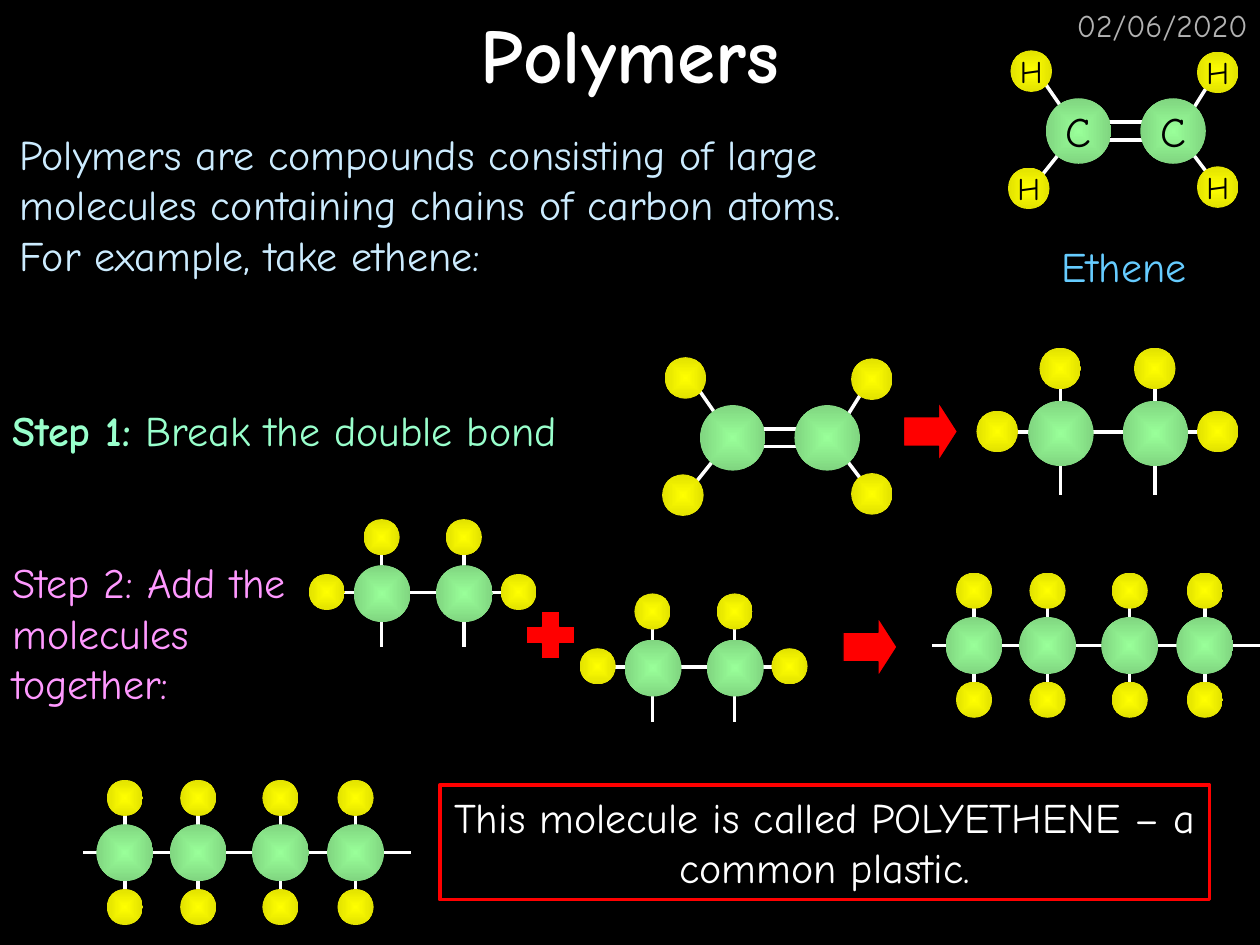
from dataclasses import dataclass

import pptx
import pptx.dml.color
import pptx.enum.shapes
import pptx.enum.text
import pptx.oxml
import pptx.oxml.ns
import pptx.util

RGB = pptx.dml.color.RGBColor
SHAPE = pptx.enum.shapes.MSO_SHAPE
ALIGN = pptx.enum.text.PP_ALIGN
ANCHOR = pptx.enum.text.MSO_ANCHOR
AUTO_SIZE = pptx.enum.text.MSO_AUTO_SIZE

BLACK = RGB(0x00, 0x00, 0x00)
WHITE = RGB(0xFF, 0xFF, 0xFF)
GREY = RGB(0xB2, 0xB2, 0xB2)
RED = RGB(0xFF, 0x00, 0x00)
SKY = RGB(0x66, 0xCC, 0xFF)
PALE_BLUE = RGB(0xCC, 0xEC, 0xFF)
MINT = RGB(0x99, 0xFF, 0xCC)
PINK = RGB(0xFF, 0x99, 0xFF)
GREEN = RGB(0x99, 0xFF, 0x99)
YELLOW = RGB(0xFF, 0xFF, 0x00)

FONT = "Comic Neue"

# The slide is a grid of 100 columns by 75 rows of square cells
COLS, ROWS = 100, 75
CELL = pptx.util.Inches(0.1)

Point = tuple[float, float]
Box = tuple[float, float, float, float]


def grid(*cells: float) -> list[int]:
    return [round(c * CELL) for c in cells]


@dataclass(frozen=True)
class Atom:
    symbol: str
    color: RGB
    size: float
    rim_shade: int
    font_size: int


@dataclass(frozen=True)
class Molecule:
    """Bond ends and atom centres in cells from the molecule's corner."""
    bonds: list[Box]
    carbons: list[Point]
    hydrogens: list[Point]


@dataclass(frozen=True)
class Label:
    box: Box
    runs: list[tuple[str, bool]]
    color: RGB
    size: int = 24
    align: ALIGN = ALIGN.LEFT


CARBON = Atom("C", GREEN, 5.2, 66667, 24)
HYDROGEN = Atom("H", YELLOW, 3.3, 76471, 18)
SMALL = 0.87

ETHENE = Molecule(
    bonds=[(6.8, 7.1, 13.9, 7.1), (16.6, 1.6, 14.1, 5.6), (1.9, 10.9, 5.1, 6.9),
           (13.6, 6.8, 16.4, 10.5), (2.3, 1.7, 5.9, 6.9), (4.3, 5.7, 14.3, 5.7)],
    carbons=[(5.6, 6.4), (13.1, 6.4)],
    hydrogens=[(16.65, 10.85), (1.65, 10.95), (16.65, 1.75), (1.85, 1.65)],
)
OPENED = Molecule(
    bonds=[(14.15, 1.7, 14.15, 11.7), (6.65, 2.5, 6.65, 11.7), (1.6, 6.7, 18.3, 6.7)],
    carbons=[(6.7, 6.8), (14.2, 6.8)],
    hydrogens=[(1.65, 6.65), (14.15, 1.65), (19.15, 6.65), (6.65, 1.65)],
)
# Chain measured before the small scale is applied
CHAIN_COLS = [3.8, 10.5, 18, 24.85]
CHAIN_TOP, CHAIN_MID, CHAIN_BOTTOM = 1.7, 6.7, 11.65
CHAIN = Molecule(
    bonds=[(x, CHAIN_TOP, x, CHAIN_BOTTOM) for x in CHAIN_COLS]
    + [(0, CHAIN_MID, 29.9, CHAIN_MID)],
    carbons=[(x, CHAIN_MID) for x in CHAIN_COLS],
    hydrogens=[(x, y) for y in (CHAIN_TOP, CHAIN_BOTTOM) for x in CHAIN_COLS],
)

# Molecule, left, top, scale, lettered
MOLECULES = [
    (ETHENE, 80, 4, 1, True),
    (OPENED, 77.5, 27.6, 1, False),
    (ETHENE, 52.55, 28.35, 1, False),
    (CHAIN, 74, 45.4, SMALL, False),
    (OPENED, 24.5, 41.2, SMALL, False),
    (OPENED, 46, 47.1, SMALL, False),
    (CHAIN, 6.6, 61.85, SMALL, False),
]
ARROW_ADJ = [0.5, 0.35]
SIGNS = [
    (SHAPE.RIGHT_ARROW, (71.7, 31.9, 4.3, 4.7), ARROW_ADJ),
    (SHAPE.RIGHT_ARROW, (66.9, 49, 4.3, 4.7), ARROW_ADJ),
    (SHAPE.CROSS, (41.8, 48.5, 3.8, 3.8), [0.31]),
]
LABELS = [
    Label((79.2, 0, 20.8, 5), [("02/06/2020", False)], GREY, 18, ALIGN.RIGHT),
    Label((81.3, 18.6, 15.8, 5), [("Ethene", False)], SKY, align=ALIGN.CENTER),
    Label((0.6, 9.7, 71.9, 13.1),
          [("Polymers are compounds consisting of large molecules containing "
            "chains of carbon atoms. For example, take ethene:", False)], PALE_BLUE),
    Label((0, 31.6, 78.6, 5),
          [("Step 1: ", True), ("Break the double bond", False)], MINT),
    Label((0, 43.7, 26.5, 13), [("Step 2: Add the molecules together:", False)], PINK),
]
CONCLUSION = Label(
    (34.9, 62.3, 61.1, 9.1),
    [("This molecule is called POLYETHENE – a common plastic.", False)],
    WHITE, align=ALIGN.CENTER)


def write(sp, label: Label) -> None:
    tf = sp.text_frame
    tf.word_wrap = True
    tf.auto_size = AUTO_SIZE.SHAPE_TO_FIT_TEXT
    tf.vertical_anchor = ANCHOR.TOP
    p = tf.paragraphs[0]
    p.alignment = label.align
    p.font.name, p.font.size = FONT, pptx.util.Pt(label.size)
    p.font.color.rgb = label.color
    for text, bold in label.runs:
        r = p.add_run()
        r.text = text
        if bold:
            r.font.bold = True


def add_bond(shapes, x1: float, y1: float, x2: float, y2: float) -> None:
    line = shapes.add_connector(
        pptx.enum.shapes.MSO_CONNECTOR.STRAIGHT, *grid(x1, y1, x2, y2))
    line.line.color.rgb = WHITE
    line.line.width = pptx.util.Pt(2)
    line._element.spPr.append(pptx.oxml.parse_xml(
        f"<a:effectLst {pptx.oxml.ns.nsdecls('a')}/>"))


def add_atom(shapes, atom: Atom, x: float, y: float, scale: float, lettered: bool) -> None:
    d = atom.size * scale
    sp = shapes.add_shape(SHAPE.OVAL, *grid(x - d / 2, y - d / 2, d, d))
    sp.shadow.inherit = False
    sp.line.fill.background()
    # Radial fill, darker towards the rim
    geometry = sp._element.spPr.find(pptx.oxml.ns.qn("a:prstGeom"))
    geometry.addnext(pptx.oxml.parse_xml(
        f"<a:gradFill {pptx.oxml.ns.nsdecls('a')} rotWithShape='1'><a:gsLst>"
        f"<a:gs pos='0'><a:srgbClr val='{atom.color}'/></a:gs>"
        f"<a:gs pos='100000'><a:srgbClr val='{atom.color}'>"
        f"<a:shade val='{atom.rim_shade}'/></a:srgbClr></a:gs></a:gsLst>"
        "<a:path path='shape'><a:fillToRect l='50000' t='50000' r='50000' b='50000'/>"
        "</a:path></a:gradFill>"))
    if lettered:
        tf = sp.text_frame
        tf.word_wrap = False
        tf.vertical_anchor = ANCHOR.MIDDLE
        p = tf.paragraphs[0]
        p.text, p.alignment = atom.symbol, ALIGN.CENTER
        p.font.name, p.font.size = FONT, pptx.util.Pt(atom.font_size)
        p.font.color.rgb = BLACK


def add_molecule(s, mol: Molecule, left: float, top: float, scale: float,
                 lettered: bool) -> None:
    shapes = s.shapes.add_group_shape().shapes
    for x1, y1, x2, y2 in mol.bonds:
        add_bond(shapes, left + x1 * scale, top + y1 * scale,
                 left + x2 * scale, top + y2 * scale)
    for atom, centres in ((CARBON, mol.carbons), (HYDROGEN, mol.hydrogens)):
        for x, y in centres:
            add_atom(shapes, atom, left + x * scale, top + y * scale, scale, lettered)


def add_sign(s, kind: SHAPE, box: Box, adjustments: list[float]) -> None:
    sp = s.shapes.add_shape(kind, *grid(*box))
    sp.shadow.inherit = False
    for i, value in enumerate(adjustments):
        sp.adjustments[i] = value
    sp.fill.solid()
    sp.fill.fore_color.rgb = RED
    sp.line.color.rgb = BLACK
    sp.line.width = pptx.util.Pt(0.75)


def main() -> None:
    prs = pptx.Presentation()
    prs.slide_width, prs.slide_height = grid(COLS, ROWS)
    s = prs.slides.add_slide(prs.slide_layouts[5])
    s.background.fill.solid()
    s.background.fill.fore_color.rgb = BLACK

    # Title
    title = s.shapes.title
    title.left, title.top, title.width, title.height = grid(0, 0, COLS, 8.3)
    write(title, Label((), [("Polymers", True)], WHITE, 44, ALIGN.CENTER))
    title.text_frame.auto_size = AUTO_SIZE.NONE
    title.text_frame.vertical_anchor = ANCHOR.MIDDLE

    # Date, explanation and steps
    for label in LABELS:
        write(s.shapes.add_textbox(*grid(*label.box)), label)

    # Molecules and the signs between them
    for molecule in MOLECULES:
        add_molecule(s, *molecule)
    for sign in SIGNS:
        add_sign(s, *sign)

    # Framed conclusion
    frame = s.shapes.add_shape(SHAPE.RECTANGLE, *grid(*CONCLUSION.box))
    frame.shadow.inherit = False
    frame.fill.background()
    frame.line.color.rgb = RED
    frame.line.width = pptx.util.Pt(2)
    write(frame, CONCLUSION)

    prs.save("out.pptx")


if __name__ == "__main__":
    main()
